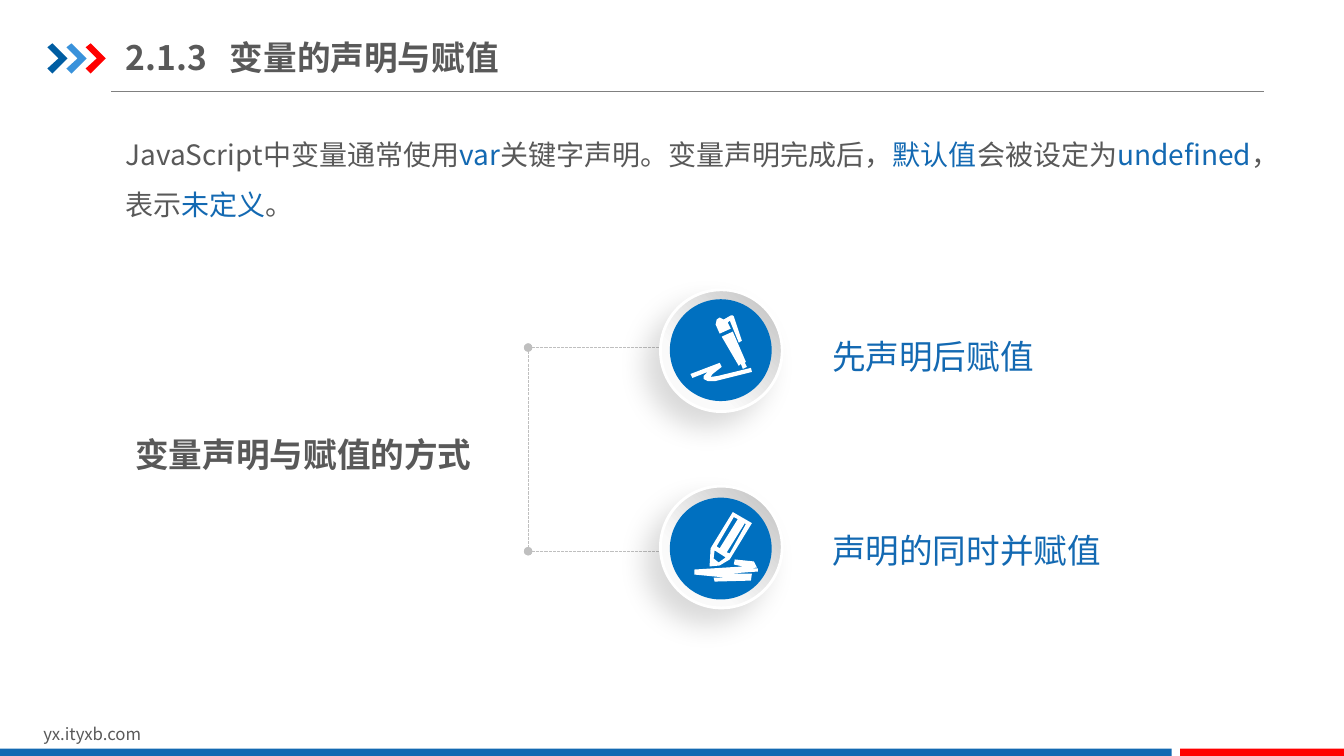
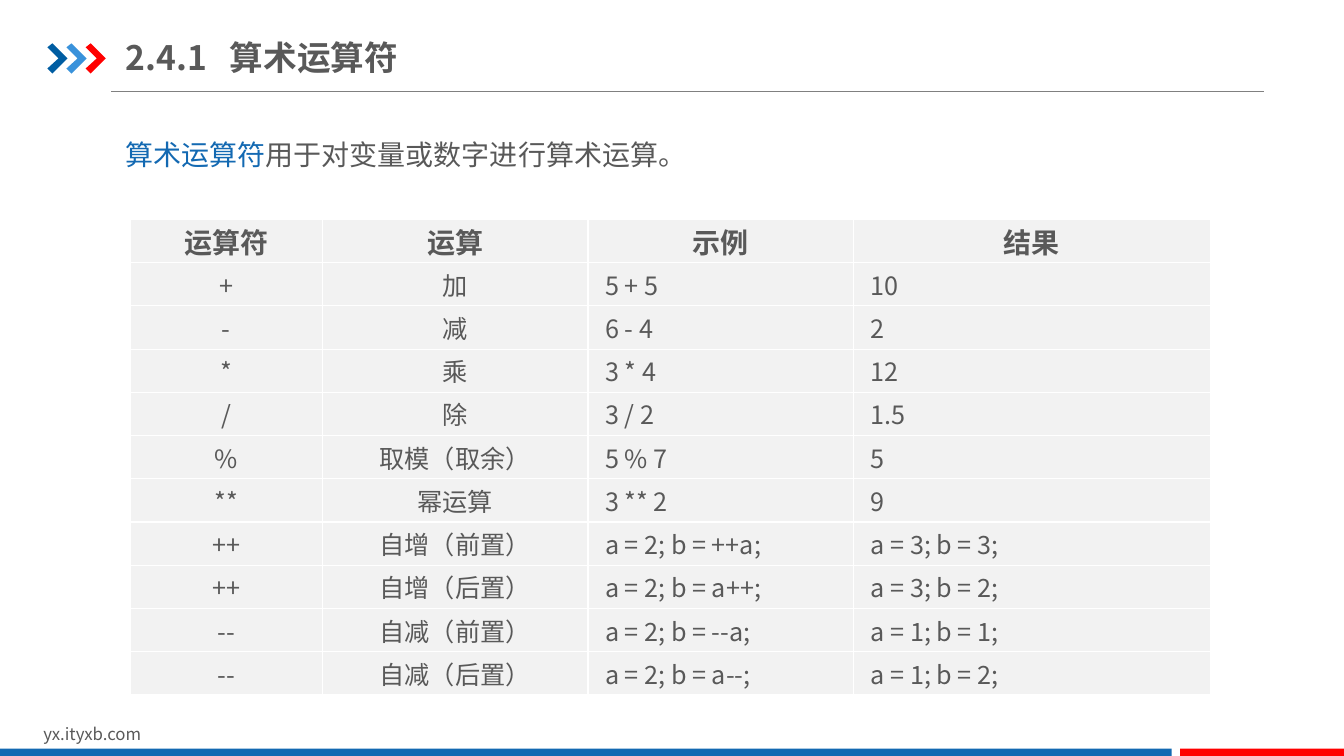
from pptx import Presentation
from pptx import util as u
from pptx.dml.color import RGBColor
from pptx.enum import dml, shapes, text
from pptx.oxml import parse_xml
from pptx.oxml.ns import nsdecls, qn

FONT = "Noto Sans CJK SC"
GREY, BLUE, RED, WHITE = "595959", "1369B2", "FF0000", "FFFFFF"
rgb = RGBColor.from_string

# The slide is a grid of 1280 columns by 720 rows of square cells
COLS, ROWS = 1280, 720
g = u.Inches(7.5) // ROWS

prs = Presentation()
prs.slide_width, prs.slide_height = COLS * g, ROWS * g


def paint(sp, color):
    """Plain fill without outline or shadow."""
    sp.fill.solid()
    sp.fill.fore_color.rgb = rgb(color)
    sp.line.fill.background()
    sp.shadow.inherit = False


def write(content, s=None, box=None, tf=None, size=24, color=GREY, bold=False,
          align=text.PP_ALIGN.LEFT, spacing=None, insets=None, tab=None):
    """Write into tf or a new box; parts between bars are blue."""
    tf = tf or s.shapes.add_textbox(*(g * n for n in box)).text_frame
    tf.word_wrap = True
    if insets:
        tf.margin_left = tf.margin_right = u.Inches(insets[0])
        tf.margin_top = tf.margin_bottom = u.Inches(insets[1])
    p = tf.paragraphs[0]
    p.alignment = align
    if spacing:
        p.line_spacing = spacing
    if tab:
        p._p.get_or_add_pPr().append(parse_xml(
            f'<a:tabLst {nsdecls("a")}><a:tab pos="{tab * g}" algn="l"/></a:tabLst>'))
    for i, part in enumerate(content.split("|")):
        if part:
            r = p.add_run()
            r.text = part
            r.font.size, r.font.bold, r.font.name = u.Pt(size), bold, FONT
            r.font.color.rgb = rgb(BLUE if i % 2 else color)
            r._r.get_or_add_rPr().append(
                parse_xml(f'<a:ea {nsdecls("a")} typeface="{FONT}"/>'))
    return tf


# Shared frame: rule, footer, bands, title, body text
pages = [
    ("2.1.3\t变量的声明与赋值",
     "JavaScript中变量通常使用|var|关键字声明。变量声明完成后，|默认值|会被设定为"
     "|undefined|，表示|未定义|。"),
    ("2.4.1\t算术运算符", "|算术运算符|用于对变量或数字进行算术运算。"),
]
outlines, lines = [], []
for title, body in pages:
    s = prs.slides.add_slide(prs.slide_layouts[6])
    rule = s.shapes.add_connector(shapes.MSO_CONNECTOR.STRAIGHT,
                                  106 * g, 87 * g, 1204 * g, 87 * g)
    lines.append((rule, "808080"))
    for i, color in enumerate(("005DA2", "3992DB", RED)):
        x = 47 + 19 * i
        outlines.append((s, color, [[(x, 47), (x + 5, 43), (x + 20, 58),
                                     (x + 5, 73), (x, 68), (x + 11, 58)]]))
    write("yx.ityxb.com", s, (32, 685, 305, 29), size=12)
    for left, width, color in ((0, 1116, BLUE), (1124, 156, RED)):
        band = s.shapes.add_shape(shapes.MSO_SHAPE.RECTANGLE,
                                  left * g, 713 * g, width * g, 7 * g)
        paint(band, color)
    tf = write(title, s, (120, 28, 550, 53), bold=True, insets=(0, 0.07), tab=99)
    tf.vertical_anchor = text.MSO_ANCHOR.MIDDLE
    write(body, s, (110, 110, 1118, 101), size=20, spacing=1.5)

# Slide 1: dashed bracket
s = prs.slides[0]
for ends in ((690, 331, 503, 331), (690, 525, 503, 525), (503, 331, 503, 525)):
    ln = s.shapes.add_connector(shapes.MSO_CONNECTOR.STRAIGHT, *(g * n for n in ends))
    lines.append((ln, "BFBFBF"))
    ln.line.dash_style = dml.MSO_LINE.SQUARE_DOT
    for end in ("headEnd", "tailEnd"):
        ln.line._get_or_add_ln().append(
            parse_xml(f'<a:{end} {nsdecls("a")} type="oval"/>'))

# Slide 1: raised rings, discs and labels
write("变量声明与赋值的方式", s, (129, 413, 436, 35), bold=True, insets=(0, 0))
for ring_top, disc_top, label_top, label in ((276, 285, 315, "先声明后赋值"),
                                             (463, 474, 500, "声明的同时并赋值")):
    ring = s.shapes.add_shape(shapes.MSO_SHAPE.OVAL,
                              629 * g, ring_top * g, 116 * g, 116 * g)
    ring.line.color.rgb, ring.line.width = rgb(WHITE), u.Pt(2)
    ring.shadow.inherit = False
    pr = ring._element.spPr
    pr.insert(2, parse_xml(
        f'<a:gradFill {nsdecls("a")} rotWithShape="1"><a:gsLst>'
        '<a:gs pos="0"><a:srgbClr val="BFBFBF"/></a:gs>'
        '<a:gs pos="70000"><a:srgbClr val="FAFAFA"/></a:gs>'
        '</a:gsLst><a:lin ang="8100000" scaled="0"/></a:gradFill>'))
    pr.find(qn("a:effectLst")).append(parse_xml(
        f'<a:outerShdw {nsdecls("a")} blurRad="{u.Pt(20)}" dist="{u.Pt(15)}" '
        'dir="8100000" algn="tr" rotWithShape="0"><a:srgbClr val="000000">'
        '<a:alpha val="15000"/></a:srgbClr></a:outerShdw>'))
    disc = s.shapes.add_shape(shapes.MSO_SHAPE.OVAL,
                              638 * g, disc_top * g, 97 * g, 97 * g)
    paint(disc, "0070C0")
    write(label, s, (783, label_top, 363, 68), color=BLUE)

# Slide 1: pen and pencil icons, in hundredths of an inch
pen = [
    [(716, 334), (727, 329), (740, 359), (739, 360), (741, 364), (737, 366),
     (735, 361), (733, 363)],
    [(685, 371), (687, 375), (702, 369), (698, 373), (698, 376), (702, 378),
     (710, 378), (746, 369), (745, 365), (712, 373), (705, 374), (707, 371),
     (716, 364), (714, 360)],
    [(718, 317), (714, 315), (711, 317), (710, 322), (714, 331), (725, 326),
     (722, 320), (724, 318), (733, 340), (736, 338), (728, 314), (727, 313),
     (725, 313)],
]
pencil = [
    [(727, 508), (746, 519), (724, 555), (714, 561), (704, 562), (705, 544)],
    [(745, 576), (746, 569), (725, 569), (752, 567), (752, 564), (744, 564),
     (751, 563), (748, 557), (729, 555), (728, 560), (737, 562), (689, 565),
     (689, 570), (720, 573), (708, 573), (709, 577)],
    [(713, 558), (720, 553), (709, 546), (708, 554)],
    [(739, 519), (721, 548), (724, 549), (740, 520)],
    [(728, 513), (711, 542), (714, 544), (732, 515)],
]
outlines += [(s, WHITE, pen), (s, WHITE, pencil)]

# Slide 2: operator table
rows = [
    ("运算符", "运算", "示例", "结果"),
    ("+", "加", "5 + 5", "10"),
    ("-", "减", "6 - 4", "2"),
    ("*", "乘", "3 * 4", "12"),
    ("/", "除", "3 / 2", "1.5"),
    ("%", "取模（取余）", "5 % 7", "5"),
    ("**", "幂运算", "3 ** 2", "9"),
    ("++", "自增（前置）", "a = 2; b = ++a;", "a = 3; b = 3;"),
    ("++", "自增（后置）", "a = 2; b = a++;", "a = 3; b = 2;"),
    ("--", "自减（前置）", "a = 2; b = --a;", "a = 1; b = 1;"),
    ("--", "自减（后置）", "a = 2; b = a--;", "a = 1; b = 2;"),
]
widths = (183, 253, 253, 340)
s = prs.slides[1]
tbl = s.shapes.add_table(len(rows), len(widths), 124 * g, 209 * g,
                         sum(widths) * g, 453 * g).table
for col, width in zip(tbl.columns, widths):
    col.width = width * g
for i, row in enumerate(rows):
    tbl.rows[i].height = 453 * g // len(rows)
    for j, value in enumerate(row):
        cell = tbl.cell(i, j)
        cell.fill.solid()
        cell.fill.fore_color.rgb = rgb("F2F2F2")
        cell.vertical_anchor = text.MSO_ANCHOR.MIDDLE
        cell.margin_left = cell.margin_right = u.Inches(0.07)
        cell.margin_top = cell.margin_bottom = 0
        for k, side in enumerate("LRTB"):
            cell._tc.get_or_add_tcPr().insert(k, parse_xml(
                f'<a:ln{side} {nsdecls("a")} w="{u.Pt(1)}"><a:solidFill>'
                f'<a:srgbClr val="{WHITE}"/></a:solidFill></a:ln{side}>'))
        centred = i == 0 or j < 2
        tf = write(value, tf=cell.text_frame, size=18 if i else 20, bold=i == 0,
                   align=text.PP_ALIGN.CENTER if centred else text.PP_ALIGN.LEFT)
        if not centred:
            pPr = tf.paragraphs[0]._p.get_or_add_pPr()
            pPr.set("marL", str(u.Inches(0.15)))
            pPr.set("indent", str(u.Inches(-0.05)))

# Chevrons and icons
for s, color, contours in outlines:
    fb = s.shapes.build_freeform(*contours[0][0], scale=u.Inches(0.01))
    for points in contours:
        fb.move_to(*points[0])
        fb.add_line_segments(points[1:], close=True)
    paint(fb.convert_to_shape(), color)

# Line colours and widths
for ln, color in lines:
    ln.line.color.rgb, ln.line.width = rgb(color), u.Pt(0.75)
    ln._element.spPr.append(parse_xml(f'<a:effectLst {nsdecls("a")}/>'))

prs.save("out.pptx")
